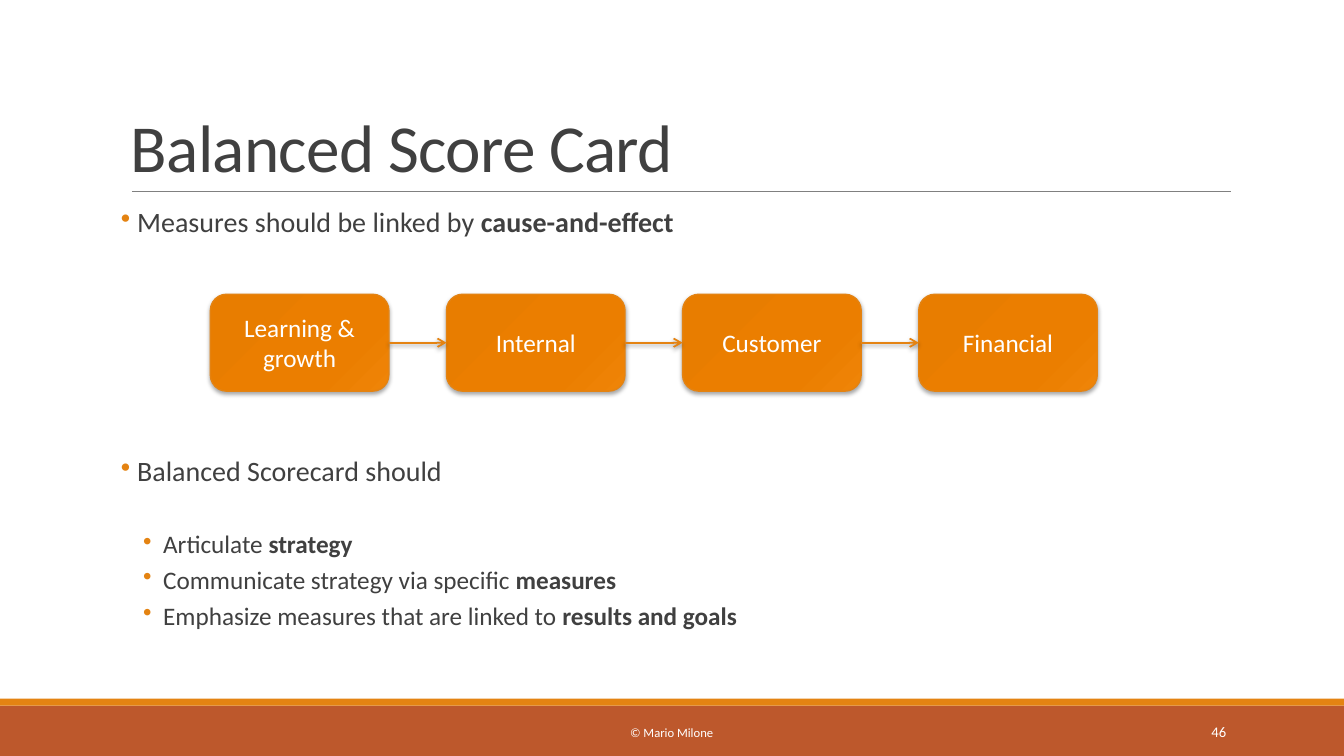
from lxml import etree
from pptx import Presentation
from pptx.dml.color import RGBColor
from pptx.enum.shapes import MSO_CONNECTOR as Line, MSO_SHAPE as Kind
from pptx.enum.text import MSO_ANCHOR as Anchor, PP_ALIGN as Align
from pptx.oxml import parse_xml
from pptx.oxml.ns import nsdecls, qn
from pptx.util import Pt

WIDTH, HEIGHT = 960, 540
FONT = "Calibri"
HUES = {
    "text": "404040", "white": "FFFFFF", "rule": "808080",
    "orange": "E48312", "rust": "BD582C", "shade": "000000",
}
FADE = {0: "E57B00", 34: "E87D00", 70: "EB7E00", 100: "EF8407"}
STEPS = ["Learning & growth", "Internal", "Customer", "Financial"]
# level, space before, plain words, bold words
POINTS = [
    (0, 0, "Measures should be linked by ", "cause-and-effect"),
    (0, 154, "Balanced Scorecard should", ""),
    (1, 30, "Articulate ", "strategy"),
    (1, 2, "Communicate strategy via specific ", "measures"),
    (1, 2, "Emphasize measures that are linked to ", "results and goals"),
]
# size, left margin, hanging indent, space after
LEVELS = [(20, 11.6, 11.6, 2), (18, 30.2, 14.4, 4)]


def color(name):
    return RGBColor.from_string(HUES[name])


def add_run(para, words, size, hue, bold=False):
    run = para.add_run()
    run.text = words
    font = run.font
    font.name, font.size, font.bold = FONT, Pt(size), bold
    font.color.rgb = color(hue)
    return run


def add_box(slide, box, anchor=Anchor.TOP):
    frame = slide.shapes.add_textbox(*map(Pt, box)).text_frame
    frame.word_wrap = True
    frame.vertical_anchor = anchor
    return frame


def add_shade(spot, alpha, dist):
    """Give a shape or connector a soft shadow straight below it."""
    props = spot._element.spPr
    for old in props.findall(qn("a:effectLst")):
        props.remove(old)
    props.append(parse_xml(
        f'<a:effectLst {nsdecls("a")}><a:outerShdw blurRad="{Pt(3.1)}" '
        f'dist="{Pt(dist)}" dir="5400000" rotWithShape="0">'
        f'<a:srgbClr val="{HUES["shade"]}"><a:alpha val="{alpha * 1000}"/>'
        '</a:srgbClr></a:outerShdw></a:effectLst>'))


def add_fade(shape):
    """Fill a shape with a round gradient from its top left corner."""
    stops = "".join(
        f'<a:gs pos="{pos * 1000}"><a:srgbClr val="{hue}"/></a:gs>'
        for pos, hue in FADE.items())
    shape._element.spPr.insert(2, parse_xml(
        f'<a:gradFill {nsdecls("a")} rotWithShape="1"><a:gsLst>{stops}</a:gsLst>'
        '<a:path path="circle"><a:fillToRect r="100000" b="100000"/></a:path>'
        '</a:gradFill>'))


def add_title(slide, box, words):
    left, top, width, height = box
    para = add_box(slide, box, Anchor.BOTTOM).paragraphs[0]
    para.line_spacing = 0.85
    run = add_run(para, words, 48, "text")
    run.font._element.set("spc", "-50")
    base = top + height
    rule = slide.shapes.add_connector(
        Line.STRAIGHT, Pt(left + 7.9), Pt(base), Pt(left + width + 0.7), Pt(base))
    rule.line.color.rgb = color("rule")
    rule.line.width = Pt(0.5)
    etree.SubElement(rule._element.spPr, qn("a:effectLst"))


def add_points(slide, box):
    frame = add_box(slide, box)
    frame.margin_left = frame.margin_right = 0
    for i, (level, before, plain, bold) in enumerate(POINTS):
        size, margin, hang, after = LEVELS[level]
        para = frame.add_paragraph() if i else frame.paragraphs[0]
        para.level = level
        para.line_spacing = 0.9
        para.space_before, para.space_after = Pt(before), Pt(after)
        props = para._p.get_or_add_pPr()
        props.set("marL", str(Pt(margin)))
        props.set("indent", str(-Pt(hang)))
        tint = etree.SubElement(props, qn("a:buClr"))
        etree.SubElement(tint, qn("a:srgbClr"), val=HUES["orange"])
        etree.SubElement(props, qn("a:buChar"), char="•")
        add_run(para, plain, size, "text")
        if bold:
            add_run(para, bold, size, "text", True)


def add_step(slide, box, words):
    step = slide.shapes.add_shape(Kind.ROUNDED_RECTANGLE, *map(Pt, box))
    step.adjustments[0] = 0.167
    add_fade(step)
    step.line.color.rgb = color("orange")
    step.line.width = Pt(1)
    add_shade(step, 35, 1.8)
    frame = step.text_frame
    frame.word_wrap = True
    frame.vertical_anchor = Anchor.MIDDLE
    para = frame.paragraphs[0]
    para.alignment = Align.CENTER
    add_run(para, words, 18, "white")
    return step


def add_arrow(slide, start, end):
    arrow = slide.shapes.add_connector(Line.STRAIGHT, 0, 0, 0, 0)
    arrow.begin_connect(start, 3)
    arrow.end_connect(end, 1)
    arrow.line.color.rgb = color("orange")
    arrow.line.width = Pt(1.25)
    etree.SubElement(arrow.line._get_or_add_ln(), qn("a:tailEnd"), type="arrow")
    add_shade(arrow, 38, 1.6)


def add_chain(slide, box):
    """Spread the steps evenly over the box and join them with arrows."""
    left, top, width, height = box
    wide = 127.5
    pitch = (width - wide) / (len(STEPS) - 1)
    steps = [add_step(slide, (left + i * pitch, top, wide, height), words)
             for i, words in enumerate(STEPS)]
    for start, end in zip(steps, steps[1:]):
        add_arrow(slide, start, end)


def add_footer(slide, box):
    left, top, width, height = box
    strip = 5
    bands = [("rust", top + strip, height - strip), ("orange", top, strip)]
    for hue, y, tall in bands:
        band = slide.shapes.add_shape(
            Kind.RECTANGLE, Pt(left), Pt(y), Pt(width), Pt(tall))
        band.fill.solid()
        band.fill.fore_color.rgb = color(hue)
        band.line.fill.background()
        band.shadow.inherit = False
    notes = [
        (290, 379.5, Align.CENTER, "© Mario Milone", 9),
        (780, 103, Align.RIGHT, "46", 10.5),
    ]
    for x, wide, align, words, size in notes:
        spot = (left + x, top + 9.5, wide, 28.75)
        para = add_box(slide, spot, Anchor.MIDDLE).paragraphs[0]
        para.alignment = align
        add_run(para, words, size, "white")


def main():
    deck = Presentation()
    deck.slide_width, deck.slide_height = Pt(WIDTH), Pt(HEIGHT)
    slide = deck.slides.add_slide(deck.slide_layouts[6])
    add_footer(slide, (0, 499, WIDTH, HEIGHT - 499))
    add_title(slide, (86.4, 22.5, 792, 114.25), "Balanced Score Card")
    add_points(slide, (86.4, 145.4, 792, 316.8))
    add_chain(slide, (150.3, 210.2, 633.5, 69.2))
    deck.save("out.pptx")


if __name__ == "__main__":
    main()
